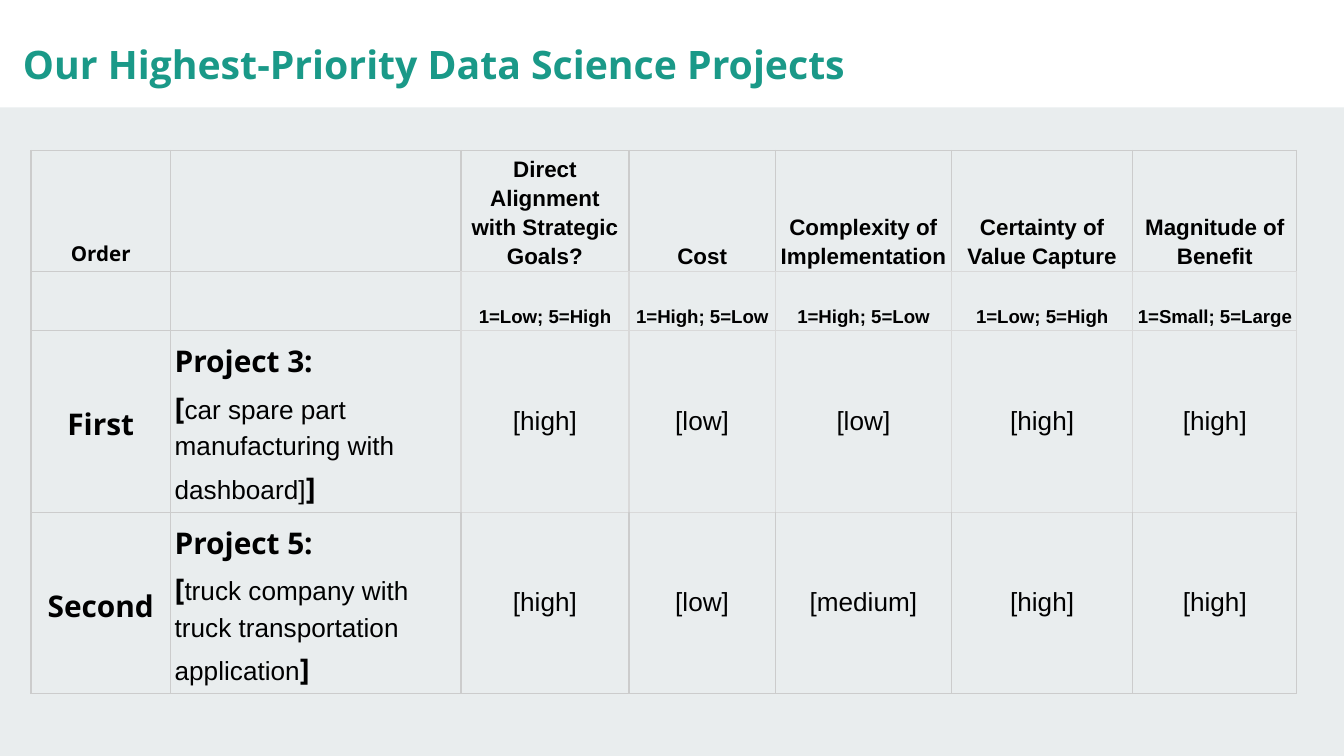
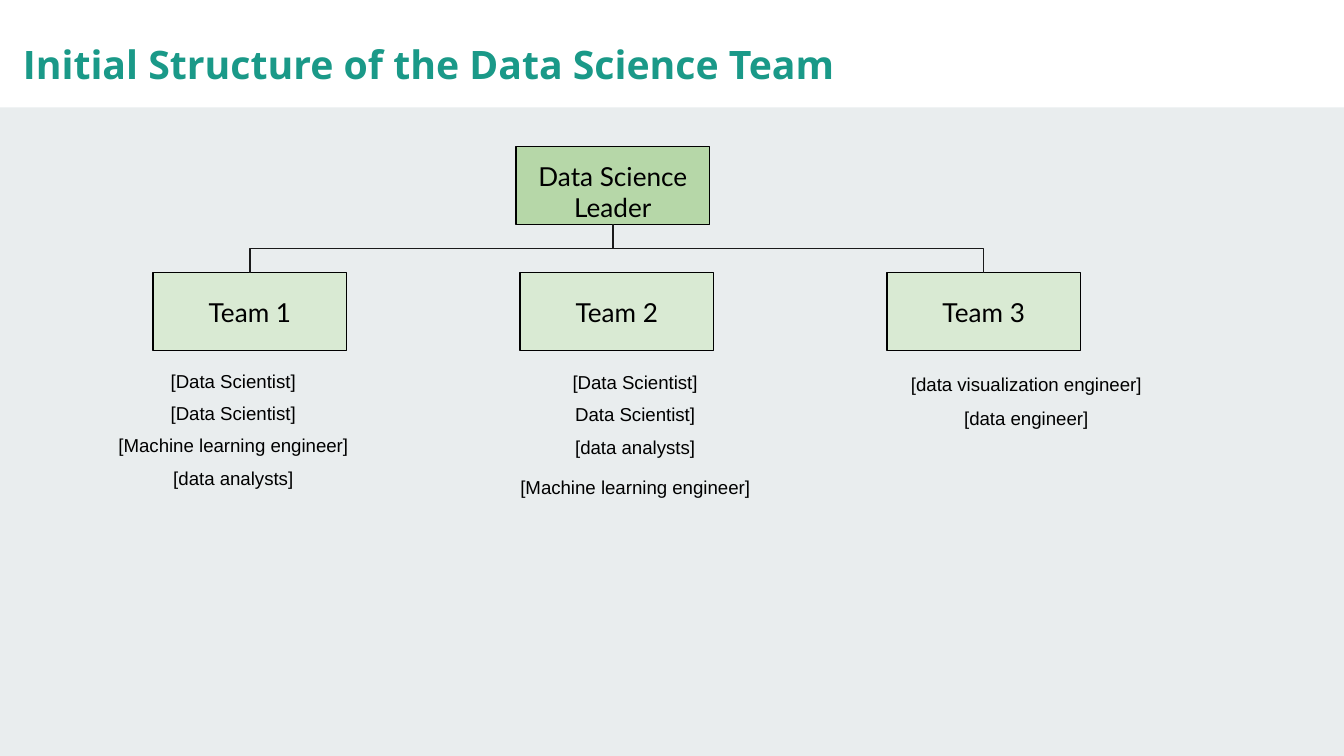
from lxml import etree
from pptx import Presentation, util as u
from pptx.dml.color import RGBColor
from pptx.enum import shapes, text
from pptx.oxml.ns import qn

# Grid: 100 square units across the slide
UNIT = u.Inches(0.1)
BAND = 8
HEX = {
    "back": "E9EDEE", "band": "FFFFFF", "title": "1A9988", "ink": "000000",
    "lead": "B6D7A8", "team": "D9EAD3", "wire": "1A1A1A",
    "edge": "CCCCCC", "pale": "D9D9D9",
}
PLAIN = "{2D5ABB26-0587-4C30-8999-92F81FD0307C}"  # table style without a grid
MID, LOW, TOP = (text.MSO_ANCHOR.MIDDLE, text.MSO_ANCHOR.BOTTOM,
                 text.MSO_ANCHOR.TOP)
MAIN, SIDE = text.PP_ALIGN.CENTER, text.PP_ALIGN.LEFT

# Text formats
HEAD = {"name": "Open Sans", "size": 21, "bold": True}
ORDER = {"name": "Open Sans", "size": 11, "bold": True}
NAME = {"name": "Open Sans", "size": 16, "bold": True}
LABEL = {"name": "Arial", "size": 12, "bold": True}
SCALE = {"name": "Arial", "size": 10, "bold": True}
BODY = {"name": "Arial", "size": 14, "bold": False}
ROLE = {"name": "Arial", "size": 10, "bold": False}
BOX = {"name": "Lato", "size": 14, "bold": False}

# Content
CRITERIA = [
    ("Direct Alignment with Strategic Goals?", "1=Low; 5=High"),
    ("Cost", "1=High; 5=Low"),
    ("Complexity of Implementation", "1=High; 5=Low"),
    ("Certainty of Value Capture", "1=Low; 5=High"),
    ("Magnitude of Benefit", "1=Small; 5=Large"),
]
PROJECTS = [
    ("First", "Project 3:", "car spare part manufacturing with dashboard]",
     ["[high]", "[low]", "[low]", "[high]", "[high]"]),
    ("Second", "Project 5:",
     "truck company with truck transportation application",
     ["[high]", "[low]", "[medium]", "[high]", "[high]"]),
]
# Each team: left, top and width of its list, row heights, roles
TEAMS = [
    (4.5, 27, 25.7, [2.5, 2.4, 2.4, 2.4],
     ["[Data Scientist]", "[Data Scientist]", "[Machine learning engineer]",
      "[data analysts]"]),
    (33.7, 27.2, 27.1, [2.4, 2.4, 2.4, 3],
     ["[Data Scientist]", "Data Scientist]", "[data analysts]",
      "[Machine learning engineer]"]),
    (64.3, 27.3, 24.1, [2.4, 2.6],
     ["[data visualization engineer]", "[data engineer]"]),
]


def span(*units):
    return [u.Emu(round(n * UNIT)) for n in units]


def paint(fill, key):
    fill.solid()
    fill.fore_color.rgb = RGBColor.from_string(HEX[key])


def write(frame, paras, align=MAIN, space=None, ink="ink"):
    """Fill a text frame; each paragraph is a list of (words, format)."""
    for i, runs in enumerate(paras):
        para = frame.paragraphs[0] if i == 0 else frame.add_paragraph()
        para.alignment = align
        if space:
            para.line_spacing = space
        for words, form in runs:
            run = para.add_run()
            run.text = words
            for key, value in form.items():
                setattr(run.font, key, u.Pt(value) if key == "size" else value)
            run.font.color.rgb = RGBColor.from_string(HEX[ink])


def inset(frame, anchor):
    frame.word_wrap = True
    frame.vertical_anchor = anchor
    for side in ("left", "right", "top", "bottom"):
        setattr(frame, f"margin_{side}", u.Inches(0.1))


def add_box(slide, at, key, words="", anchor=MID, line=True):
    box = slide.shapes.add_shape(shapes.MSO_SHAPE.RECTANGLE, *span(*at))
    box.shadow.inherit = False
    paint(box.fill, key)
    if line:
        paint(box.line.fill, "ink")
        box.line.width = u.Pt(0.75)
    else:
        box.line.fill.background()
    if words:
        inset(box.text_frame, anchor)
        write(box.text_frame, [[(words, BOX)]])
    return box


def add_slide(deck, title):
    slide = deck.slides.add_slide(deck.slide_layouts[5])
    head = slide.shapes.title
    head.left, head.top, head.width, head.height = span(0.7, 1.5, 84.4, 3.7)
    frame = head.text_frame
    inset(frame, TOP)
    frame.auto_size = text.MSO_AUTO_SIZE.NONE
    write(frame, [[(title, HEAD)]], SIDE, 1.15, "title")
    return slide


def set_theme(deck, slide):
    """Give the shared layout its background and title band."""
    layout = deck.slide_layouts[5]
    paint(layout.background.fill, "back")
    band = add_box(slide, (0, 0, 100, BAND), "band", line=False)
    layout.shapes.element.insert(2, band.element)


def add_grid(slide, left, top, cols, rows):
    size = span(left, top, sum(cols), sum(rows))
    table = slide.shapes.add_table(len(rows), len(cols), *size).table
    table.first_row = table.horz_banding = False
    table._tbl.tblPr.find(qn("a:tableStyleId")).text = PLAIN
    for col, width in zip(table.columns, span(*cols)):
        col.width = width
    for row, height in zip(table.rows, span(*rows)):
        row.height = height
    for cell in table.iter_cells():
        cell.fill.background()
    return table


def fill_cell(cell, paras, anchor, align=MAIN, space=1.15, pad=0.03):
    cell.vertical_anchor = anchor
    cell.margin_left = cell.margin_right = u.Inches(0.03)
    cell.margin_top = cell.margin_bottom = u.Inches(pad)
    write(cell.text_frame, paras, align, space)


def edge_cell(cell, keys):
    """Draw the left, right, top and bottom borders."""
    props = cell._tc.get_or_add_tcPr()
    for i, (side, key) in enumerate(zip("LRTB", keys)):
        line = etree.Element(qn(f"a:ln{side}"), w=str(u.Pt(0.75)))
        fill = etree.SubElement(line, qn("a:solidFill"))
        etree.SubElement(fill, qn("a:srgbClr"), val=HEX[key])
        props.insert(i, line)


def edges(row, col):
    if col < 2:
        return ["edge"] * 4
    return {0: ["edge"] * 3 + ["pale"],
            3: ["edge", "edge", "pale", "edge"]}.get(row, ["pale"] * 4)


def add_elbow(slide, start, end, spots):
    """Join two boxes with an elbow that leaves and arrives vertically."""
    wire = slide.shapes.add_connector(shapes.MSO_CONNECTOR.ELBOW, 0, 0, 0, 0)
    wire.begin_connect(start, spots[0])
    wire.end_connect(end, spots[1])
    (x1, y1), (x2, y2) = [
        (box.left + box.width // 2, box.top + (box.height if spot == 2 else 0))
        for box, spot in zip((start, end), spots)]
    wide, tall = abs(x2 - x1), abs(y2 - y1)
    # A quarter turn swaps width and height around the same centre
    wire.left, wire.top = (x1 + x2 - tall) // 2, (y1 + y2 - wide) // 2
    wire.width, wire.height = tall, wide
    props = wire._element.spPr
    form = props.find(qn("a:xfrm"))
    for key in ("flipH", "flipV"):
        form.attrib.pop(key, None)
    form.set("rot", "5400000")
    if y2 < y1:
        form.set("flipH", "1")
    paint(wire.line.fill, "wire")
    wire.line.width = u.Pt(0.75)
    etree.SubElement(props, qn("a:effectLst"))


def show_projects(slide):
    table = add_grid(slide, 2.3, 11.2,
                     [10.4, 21.6, 12.5, 10.9, 13.1, 13.5, 12.2],
                     [9, 4.4, 13.4, 13.4])
    # Header rows
    fill_cell(table.cell(0, 0), [[("Order", ORDER)]], LOW)
    for col, (label, scale) in enumerate(CRITERIA, 2):
        fill_cell(table.cell(0, col), [[(label, LABEL)]], LOW, pad=0.02)
        fill_cell(table.cell(1, col), [[(scale, SCALE)]], LOW, pad=0.02)
    # Project rows
    for row, (order, name, about, marks) in enumerate(PROJECTS, 2):
        fill_cell(table.cell(row, 0), [[(order, NAME)]], MID)
        fill_cell(table.cell(row, 1),
                  [[(name, NAME)], [("[", NAME), (about, BODY), ("]", NAME)]],
                  MID, SIDE)
        for col, mark in enumerate(marks, 2):
            fill_cell(table.cell(row, col), [[(mark, BODY)]], MID, space=None)
    for row in range(4):
        for col in range(7):
            edge_cell(table.cell(row, col), edges(row, col))


def show_team(slide):
    lead = add_box(slide, (38.4, 10.9, 14.4, 5.8), "lead",
                   "Data Science Leader", TOP)
    teams = [add_box(slide, (11.4 + 27.3 * i, 20.3, 14.4, 5.8), "team",
                     f"Team {i + 1}") for i in range(len(TEAMS))]
    add_elbow(slide, lead, teams[0], (2, 0))
    add_elbow(slide, teams[2], lead, (0, 2))
    # Roles under each team
    for left, top, width, rows, roles in TEAMS:
        table = add_grid(slide, left, top, [width], rows)
        for row, role in enumerate(roles):
            fill_cell(table.cell(row, 0), [[(role, ROLE)]], LOW)


def main():
    deck = Presentation()
    deck.slide_width = u.Inches(10)
    deck.slide_height = deck.slide_width * 9 // 16
    first = add_slide(deck, "Our Highest-Priority Data Science Projects")
    set_theme(deck, first)
    show_projects(first)
    show_team(add_slide(deck, "Initial Structure of the Data Science Team"))
    deck.save("out.pptx")


if __name__ == "__main__":
    main()
